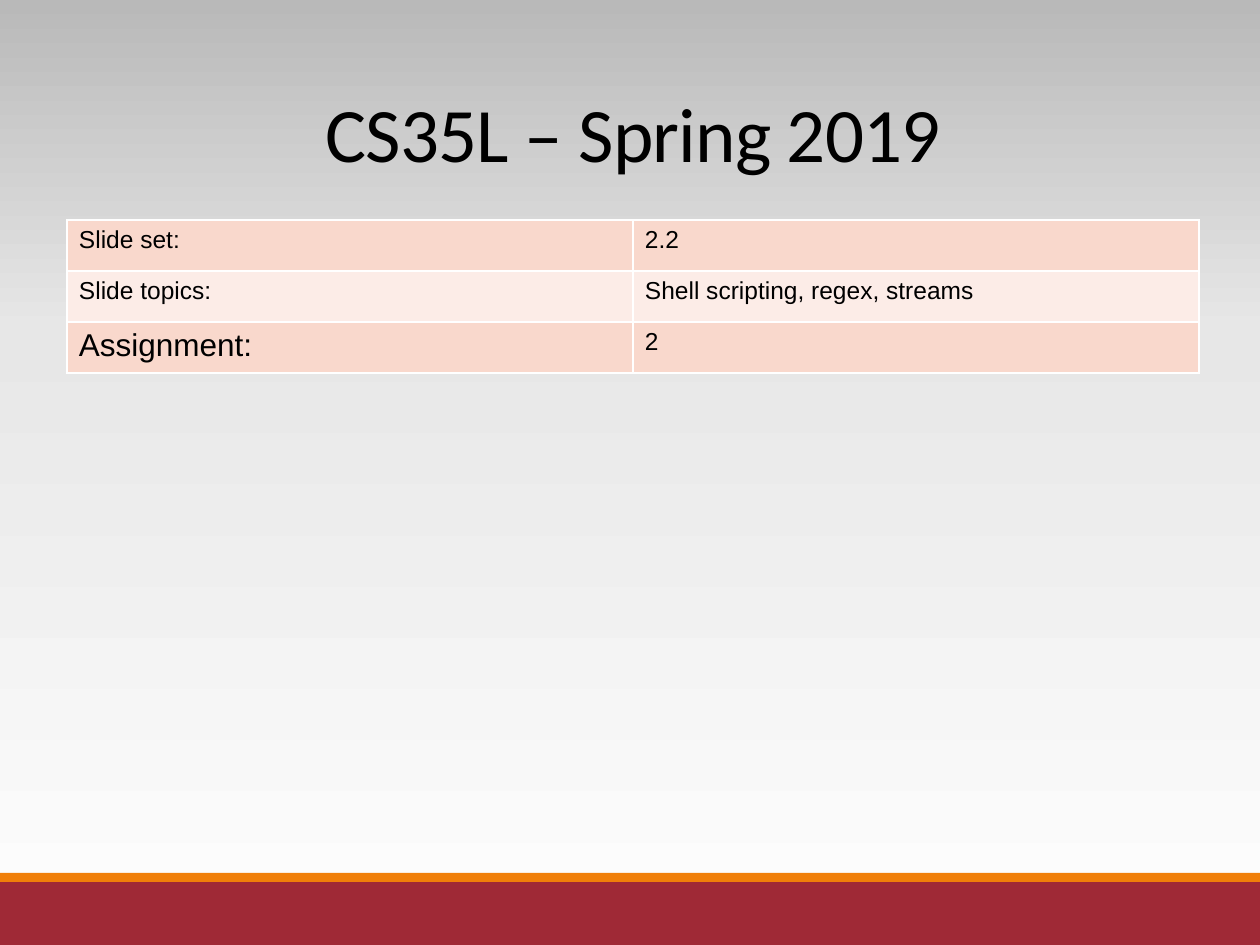
"""Build the course title slide with its table of slide set, topics and assignment."""
from copy import deepcopy

from lxml import etree
from pptx import Presentation
from pptx.dml.color import RGBColor
from pptx.enum.shapes import MSO_SHAPE
from pptx.enum.text import MSO_ANCHOR, PP_ALIGN
from pptx.oxml.ns import qn
from pptx.util import Pt

RECTANGLE = MSO_SHAPE.RECTANGLE
MIDDLE = MSO_ANCHOR.MIDDLE
LEFT, CENTER = PP_ALIGN.LEFT, PP_ALIGN.CENTER
PIXEL = 914400 // 126
WIDTH, HEIGHT = 1260, 945


def color(value):
    return RGBColor.from_string(value)


def write(frame, text, size=14, font="Arial", align=LEFT, line_spacing=1.0, tracking=0):
    para = frame.paragraphs[0]
    para.alignment = align
    para.line_spacing = line_spacing
    span = para.add_run()
    span.text = text
    span.font.size = Pt(size)
    span.font.name = font
    span.font.color.rgb = color("000000")
    if tracking:
        span.font._element.set("spc", str(tracking))


deck = Presentation()
deck.slide_width, deck.slide_height = WIDTH * PIXEL, HEIGHT * PIXEL
page = deck.slides.add_slide(deck.slide_layouts[6])

backdrop = page.background.fill
backdrop.gradient()
backdrop.gradient_angle = 90
stop_list = page.element.xpath(".//a:gsLst")[0]
stop_list.append(deepcopy(stop_list[-1]))
shades = [(0, "FEFEFE"), (0.65, "E7E7E7"), (1, "B9B9B9")]
for stop, (position, shade) in zip(backdrop.gradient_stops, shades):
    stop.position = position
    stop.color.rgb = color(shade)

for top, height, shade in [(882, 63, "9F2936"), (873, 9, "F07F09")]:
    band = page.shapes.add_shape(RECTANGLE, 0, top * PIXEL, WIDTH * PIXEL, height * PIXEL)
    band.shadow.inherit = False
    band.fill.solid()
    band.fill.fore_color.rgb = color(shade)
    band.line.fill.background()

title = page.shapes.add_textbox(113 * PIXEL, 39 * PIXEL, 1040 * PIXEL, 200 * PIXEL)
title.text_frame.word_wrap = True
title.text_frame.vertical_anchor = MIDDLE
write(title.text_frame, "CS35L – Spring 2019", size=44, font="Calibri",
      align=CENTER, line_spacing=0.85, tracking=-50)

rows = [
    [("Slide set:", 14), ("2.2", 14)],
    [("Slide topics:", 14), ("Shell scripting, regex, streams", 14)],
    [("Assignment:", 18), ("2", 14)],
]
row_fills = ["F9D8CC", "FCECE7"]
column_width, row_height = 566, 51
table = page.shapes.add_table(
    len(rows), 2, 67 * PIXEL, 220 * PIXEL,
    2 * column_width * PIXEL, len(rows) * row_height * PIXEL).table
for column in table.columns:
    column.width = column_width * PIXEL
for row_index, row in enumerate(rows):
    table.rows[row_index].height = row_height * PIXEL
    for column_index, (text, size) in enumerate(row):
        cell = table.cell(row_index, column_index)
        cell.margin_left = cell.margin_right = 12 * PIXEL
        cell.margin_top = cell.margin_bottom = 6 * PIXEL
        write(cell.text_frame, text, size=size)
        properties = cell._tc.get_or_add_tcPr()
        for side in ("lnL", "lnR", "lnT", "lnB"):
            border = etree.SubElement(properties, qn("a:" + side), w=str(Pt(1)))
            border_fill = etree.SubElement(border, qn("a:solidFill"))
            etree.SubElement(border_fill, qn("a:srgbClr"), val="FFFFFF")
        cell.fill.solid()
        cell.fill.fore_color.rgb = color(row_fills[row_index % 2])

deck.save("out.pptx")
